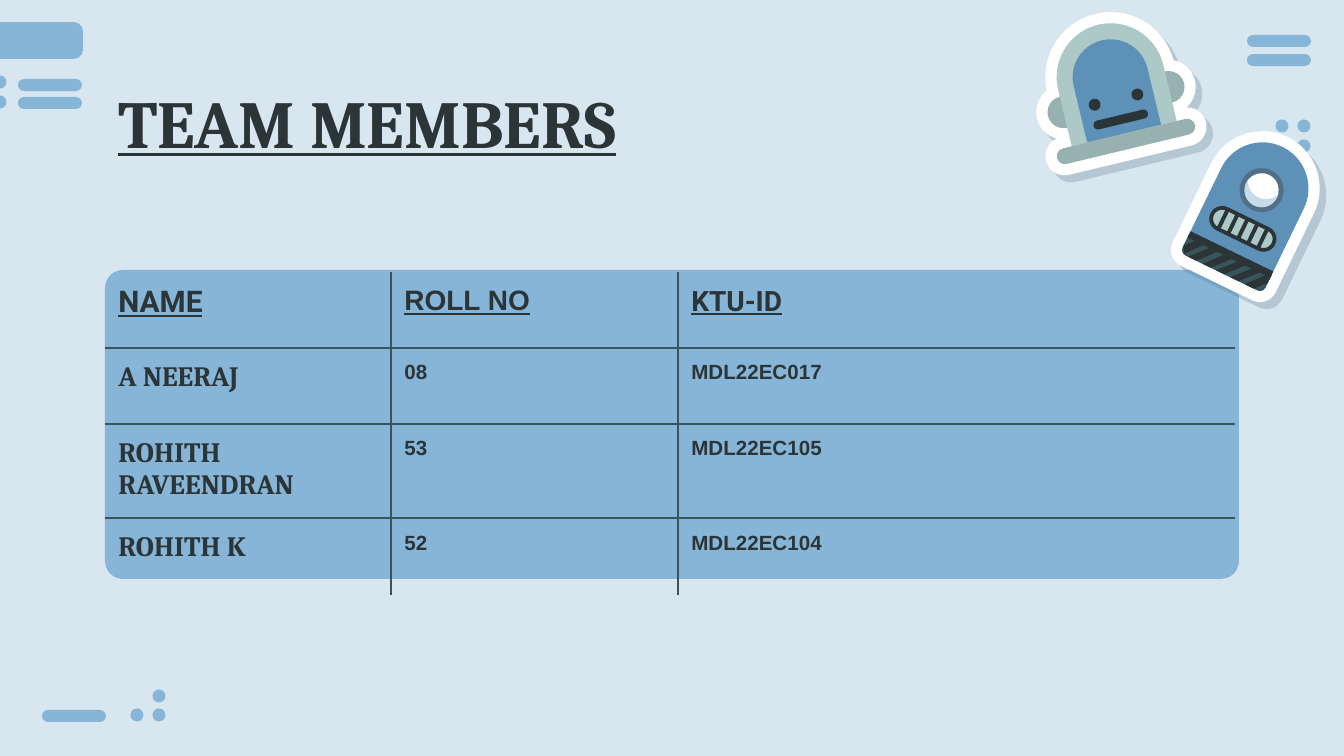
from dataclasses import dataclass
from math import cos, radians, sin

from lxml import etree
from pptx import Presentation
from pptx import util as u
from pptx.dml.color import RGBColor
from pptx.enum import shapes, text
from pptx.oxml import ns

KIND = shapes.MSO_SHAPE
SCALE = 914400 / 134.4


def px(length):
    return u.Emu(round(length * SCALE))


def arc(center_x, center_y, radius, start, end, steps=24):
    angles = [radians(start + (end - start) * i / steps) for i in range(steps + 1)]
    return [(center_x + radius * cos(a), center_y + radius * sin(a)) for a in angles]


@dataclass(frozen=True)
class Theme:
    back: str = "D8E6EF"
    accent: str = "86B5D8"
    ink: str = "2B3436"
    teal: str = "37555A"
    white: str = "FFFFFF"
    steel: str = "5D91B7"
    slate: str = "516F86"
    sage: str = "96B1B0"
    mint: str = "ACC9C8"
    pale: str = "C6DCEB"
    serif: str = "Cambria"
    sans: str = "Arial"
    label: str = "Roboto"
    title_size: int = 36
    lead_size: int = 16
    name_size: int = 15
    body_size: int = 11


class Painter:
    def __init__(self, page, theme):
        self.page = page
        self.theme = theme
        self.pivot = (0, 0)
        self.angle = 0
        page.background.fill.solid()
        page.background.fill.fore_color.rgb = RGBColor.from_string(theme.back)

    def turn_about(self, x, y, angle):
        self.pivot = (x, y)
        self.angle = angle

    def finish(self, shape, color, line=None, stroke=0):
        shape.shadow.inherit = False
        shape.fill.solid()
        shape.fill.fore_color.rgb = RGBColor.from_string(color)
        if line:
            shape.line.color.rgb = RGBColor.from_string(line)
            shape.line.width = u.Pt(stroke)
        else:
            shape.line.fill.background()
        if self.angle:
            pivot_x, pivot_y = (px(value) for value in self.pivot)
            dx = shape.left + shape.width / 2 - pivot_x
            dy = shape.top + shape.height / 2 - pivot_y
            c, s = cos(radians(self.angle)), sin(radians(self.angle))
            shape.left = round(pivot_x + dx * c - dy * s - shape.width / 2)
            shape.top = round(pivot_y + dx * s + dy * c - shape.height / 2)
            shape.rotation = self.angle
        return shape

    def shape(self, kind, x, y, width, height, color, corners=(), **outline):
        left, top = self.pivot[0] + x, self.pivot[1] + y
        shape = self.page.shapes.add_shape(kind, px(left), px(top), px(width), px(height))
        for index, radius in enumerate(corners):
            shape.adjustments[index] = radius / min(width, height)
        return self.finish(shape, color, **outline)

    def pill(self, x, y, width, height, color, **outline):
        return self.shape(KIND.ROUNDED_RECTANGLE, x, y, width, height, color,
                          [height / 2], **outline)

    def disc(self, x, y, radius, color):
        return self.shape(KIND.OVAL, x - radius, y - radius, 2 * radius, 2 * radius, color)

    def dome(self, x, y, width, height, color, foot=0, **outline):
        return self.shape(KIND.ROUND_2_SAME_RECTANGLE, x, y, width, height, color,
                          [width / 2, foot], **outline)

    def outline(self, points, color, **outline):
        spots = [(px(self.pivot[0] + x), px(self.pivot[1] + y)) for x, y in points]
        builder = self.page.shapes.build_freeform(*spots[0], scale=1.0)
        builder.add_line_segments(spots[1:], close=True)
        return self.finish(builder.convert_to_shape(), color, **outline)

    def cast_shadow(self, shape):
        effects = shape._element.spPr.find(ns.qn("a:effectLst"))
        shadow = etree.SubElement(effects, ns.qn("a:outerShdw"), blurRad="0",
                                  dist=str(u.Pt(5.2)), dir=str(47 * 60000),
                                  algn="bl", rotWithShape="0")
        color = etree.SubElement(shadow, ns.qn("a:srgbClr"), val=self.theme.slate)
        etree.SubElement(color, ns.qn("a:alpha"), val="26000")

    def style(self, para, face, size, underline):
        for span in para.runs:
            span.font.name = face
            span.font.size = u.Pt(size)
            span.font.bold = True
            span.font.underline = underline
            span.font.color.rgb = RGBColor.from_string(self.theme.ink)

    def title(self, wording, x, y, width, height):
        box = self.page.shapes.add_textbox(px(x), px(y), px(width), px(height))
        frame = box.text_frame
        frame.word_wrap = True
        frame.vertical_anchor = text.MSO_ANCHOR.BOTTOM
        frame.margin_left = frame.margin_right = frame.margin_top = frame.margin_bottom = u.Inches(0.1)
        frame.text = wording
        self.style(frame.paragraphs[0], self.theme.serif, self.theme.title_size, True)

    def borders(self, cell, sides):
        props = cell._tc.get_or_add_tcPr()
        for index, (side, shown) in enumerate(sides.items()):
            line = etree.Element(ns.qn(f"a:ln{side}"), w=str(u.Pt(0.75)))
            fill = etree.SubElement(line, ns.qn("a:solidFill" if shown else "a:noFill"))
            if shown:
                etree.SubElement(fill, ns.qn("a:srgbClr"), val=self.theme.teal)
            props.insert(index, line)

    def table(self, rows, head_styles, body_styles, x, y, widths, heights):
        frame = self.page.shapes.add_table(len(rows), len(widths), px(x), px(y),
                                           px(sum(widths)), px(sum(heights)))
        table = frame.table
        table.first_row = table.horz_banding = False
        for column, width in zip(table.columns, widths):
            column.width = px(width)
        last_row, last_column = len(rows) - 1, len(widths) - 1
        for r, (row, height) in enumerate(zip(rows, heights)):
            table.rows[r].height = px(height)
            for c, wording in enumerate(row):
                cell = table.cell(r, c)
                cell.text = wording
                cell.fill.background()
                cell.margin_left = cell.margin_right = cell.margin_top = cell.margin_bottom = u.Inches(0.1)
                para = cell.text_frame.paragraphs[0]
                if c == last_column:
                    para.space_after = u.Pt(16)
                self.style(para, *(body_styles if r else head_styles)[c], r == 0)
                self.borders(cell, {"L": c > 0, "R": c < last_column,
                                    "T": r > 0, "B": r < last_row})


def draw_decor(painter, theme):
    painter.shape(KIND.ROUNDED_RECTANGLE, -30, 22, 113, 37, theme.accent, [9])
    for x, y in [(18, 79), (18, 97), (1247, 35), (1247, 54), (42, 710)]:
        painter.pill(x, y, 64, 12, theme.accent)
    dots = [(0, 82), (0, 102), (1282, 126), (1304, 126), (1282, 146), (1304, 146),
            (159, 696), (159, 715), (137, 715)]
    for x, y in dots:
        painter.disc(x, y, 6.5, theme.accent)


def draw_eared_robot(painter, theme):
    painter.turn_about(1113, 87, -13.5)
    silhouette = (arc(0, -10, 54, 180, 360) + arc(54, 13, 16, -90, 90) + [(54, 48)]
                  + arc(63, 56, 8, -90, 90) + arc(-63, 56, 8, 90, 270) + [(-54, 48)]
                  + arc(-54, 13, 16, 90, 270))
    painter.cast_shadow(painter.outline(silhouette, theme.white, line=theme.white, stroke=12))
    for side in (-1, 1):
        painter.disc(54 * side, 13, 16, theme.sage)
    painter.dome(-54, -64, 108, 112, theme.mint)
    painter.dome(-38, -48, 76, 96, theme.steel)
    for side in (-1, 1):
        painter.disc(22 * side, 13, 6, theme.ink)
    painter.pill(-28, 29, 56, 9, theme.ink)
    painter.pill(-71, 48, 142, 16, theme.sage)


def draw_striped_robot(painter, theme):
    painter.turn_about(1252, 210, 25.9)
    painter.cast_shadow(painter.dome(-46, -70, 92, 140, theme.white, 6,
                                     line=theme.white, stroke=12))
    painter.dome(-46, -70, 92, 140, theme.steel, 6)
    painter.shape(KIND.ROUND_2_SAME_RECTANGLE, -46, 50, 92, 20, theme.teal, [0, 6])
    painter.pill(-34, 10, 68, 22, theme.mint, line=theme.ink, stroke=2)
    for slat in range(-2, 3):
        painter.shape(KIND.RECTANGLE, 11 * slat - 2, 10, 4, 22, theme.ink)
    painter.shape(KIND.RECTANGLE, -46, 46, 92, 7, theme.ink)
    painter.disc(0, -22, 22, theme.slate)
    painter.disc(0, -22, 17, theme.white)
    glare = arc(0, -22, 17, -13, 193) + arc(0, -32, 18, 160, 20)
    painter.outline(glare, theme.pale)
    stripes = [[(x, 70), (x + 18, 50), (x + 27, 50), (x + 9, 70)] for x in (-37, -21, -6, 10)]
    stripes.append([(-46, 62), (-35, 50), (-26, 50), (-42, 69)])
    stripes.append([(26, 70), (43, 50), (46, 50), (46, 59), (36, 70)])
    for stripe in stripes:
        painter.outline(stripe, theme.ink)


def main():
    theme = Theme()
    deck = Presentation()
    deck.slide_width, deck.slide_height = px(1344), px(756)
    painter = Painter(deck.slides.add_slide(deck.slide_layouts[6]), theme)
    draw_decor(painter, theme)
    painter.shape(KIND.ROUNDED_RECTANGLE, 105, 270, 1134, 309, theme.accent, [18])
    painter.title("TEAM MEMBERS", 105, 66, 1134, 109)
    rows = [("NAME", "ROLL NO", "KTU-ID"),
            ("A NEERAJ", "08", "MDL22EC017"),
            ("ROHITH RAVEENDRAN", "53", "MDL22EC105"),
            ("ROHITH K", "52", "MDL22EC104")]
    head_styles = [(theme.label, theme.lead_size), (theme.sans, theme.name_size),
                   (theme.label, theme.name_size)]
    body_styles = [(theme.serif, theme.name_size)] + [(theme.sans, theme.body_size)] * 2
    painter.table(rows, head_styles, body_styles, 105, 272, [286, 287, 557], [76, 76, 92, 77])
    draw_eared_robot(painter, theme)
    draw_striped_robot(painter, theme)
    deck.save("out.pptx")


if __name__ == "__main__":
    main()
